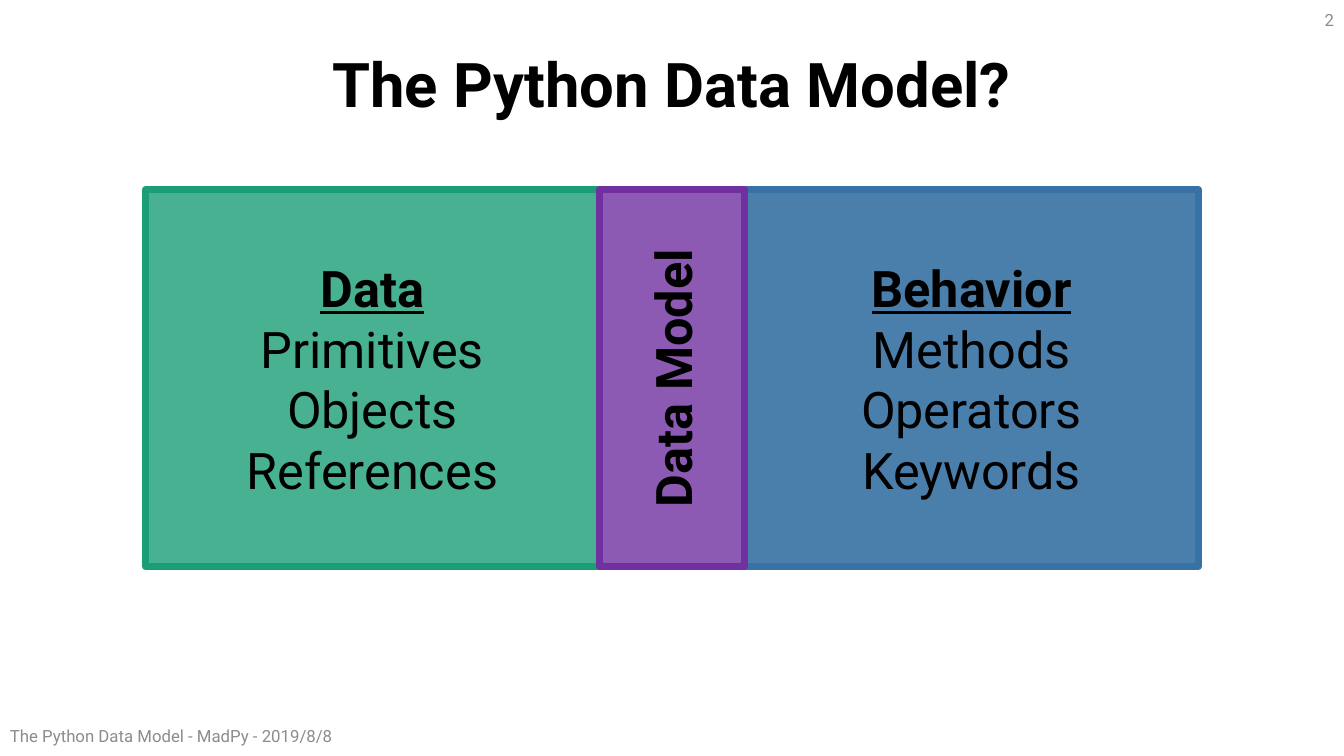
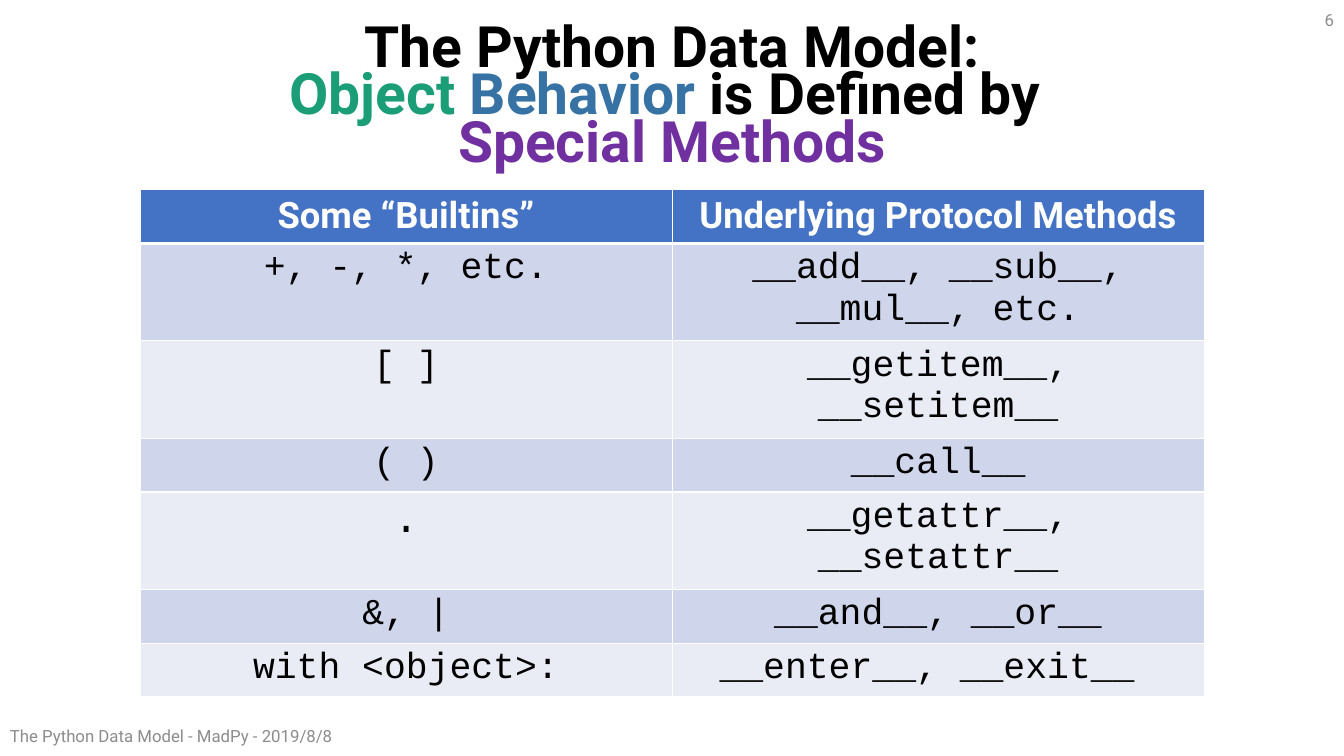
"""Build two slides about the Python data model."""
import lxml.etree
import pptx
import pptx.dml.color
import pptx.enum.shapes
import pptx.enum.text
import pptx.oxml.ns
import pptx.util

Cm = pptx.util.Cm
Pt = pptx.util.Pt
RGBColor = pptx.dml.color.RGBColor
ALIGN = pptx.enum.text.PP_ALIGN
MIDDLE = pptx.enum.text.MSO_ANCHOR.MIDDLE
TOP = pptx.enum.text.MSO_ANCHOR.TOP
qn = pptx.oxml.ns.qn

BLACK = RGBColor(0x00, 0x00, 0x00)
WHITE = RGBColor(0xFF, 0xFF, 0xFF)
GREY = RGBColor(0x8C, 0x8C, 0x8C)
GREEN = RGBColor(0x1B, 0x9E, 0x77)
BLUE = RGBColor(0x37, 0x72, 0xA4)
PURPLE = RGBColor(0x70, 0x30, 0xA0)
HEADER_BLUE = RGBColor(0x44, 0x72, 0xC4)
BAND_DARK = RGBColor(0xCF, 0xD5, 0xEA)
BAND_LIGHT = RGBColor(0xE9, 0xEB, 0xF5)

SLIDE_WIDTH, SLIDE_HEIGHT = 33.87, 19.05
CONTENT_TOP = 4.78
FOOTER = "The Python Data Model - MadPy - 2019/8/8"


def write(frame, lines, align=ALIGN.CENTER, anchor=MIDDLE, spacing=None, **style):
    """Fill a text frame with lines, each a string or a list of (text, overrides) runs."""
    frame.word_wrap = True
    frame.vertical_anchor = anchor
    for index, line in enumerate(lines):
        paragraph = frame.paragraphs[0] if index == 0 else frame.add_paragraph()
        paragraph.alignment = align
        if spacing:
            paragraph.line_spacing = spacing
        for text, overrides in [(line, {})] if isinstance(line, str) else line:
            look = {"size": 36, "font": "Roboto", "color": BLACK, "bold": False,
                    "underline": False, **style, **overrides}
            run = paragraph.add_run()
            run.text = text
            run.font.name = look["font"]
            run.font.size = Pt(look["size"])
            run.font.bold = look["bold"]
            run.font.underline = look["underline"]
            run.font.color.rgb = look["color"]


class Deck:
    """Hold the presentation, its shared style and the current slide."""

    def __init__(self):
        """Start an empty widescreen presentation."""
        self.presentation = pptx.Presentation()
        self.presentation.slide_width = Cm(SLIDE_WIDTH)
        self.presentation.slide_height = Cm(SLIDE_HEIGHT)
        self.slide = None

    def start_slide(self, number):
        """Add a title-only slide with its footer and number."""
        self.slide = self.presentation.slides.add_slide(self.presentation.slide_layouts[5])
        self.label(FOOTER, 0, 18.03, 11.43, ALIGN.LEFT)
        self.label(number, 32.74, 0, 1.13, ALIGN.RIGHT)

    def label(self, text, left, top, width, align):
        """Add a small grey line of text."""
        box = self.slide.shapes.add_textbox(Cm(left), Cm(top), Cm(width), Cm(1.02))
        write(box.text_frame, [text], align=align, size=12, color=GREY)

    def title(self, lines, top, width, height, size, spacing):
        """Place the title, centred across the slide."""
        title = self.slide.shapes.title
        title.left, title.top = Cm((SLIDE_WIDTH - width) / 2), Cm(top)
        title.width, title.height = Cm(width), Cm(height)
        title.text_frame.auto_size = pptx.enum.text.MSO_AUTO_SIZE.NONE
        write(title.text_frame, lines, size=size, bold=True, spacing=spacing)

    def panel(self, lines, left, width, color, opacity, upright=False):
        """Add a translucent panel with an opaque outline."""
        panel = self.slide.shapes.add_shape(
            pptx.enum.shapes.MSO_SHAPE.RECTANGLE,
            Cm(left), Cm(CONTENT_TOP), Cm(width), Cm(9.5))
        panel.shadow.inherit = False
        panel.fill.solid()
        panel.fill.fore_color.rgb = color
        fill_color = panel.element.spPr.find(qn("a:solidFill"))[0]
        lxml.etree.SubElement(fill_color, qn("a:alpha"), val=str(opacity * 1000))
        panel.line.color.rgb = color
        panel.line.width = Pt(5)
        if upright:
            panel.element.txBody.bodyPr.set("vert", "vert270")
        write(panel.text_frame, lines)

    def table(self, rows, heights, left, column_width):
        """Add a banded table with a header row."""
        table = self.slide.shapes.add_table(
            len(rows), len(rows[0]), Cm(left), Cm(CONTENT_TOP),
            Cm(column_width * len(rows[0])), Cm(sum(heights))).table
        table.horz_banding = False
        for column in table.columns:
            column.width = Cm(column_width)
        for index, (texts, height) in enumerate(zip(rows, heights)):
            table.rows[index].height = Cm(height)
            for column, text in enumerate(texts):
                self.cell(table.cell(index, column), text, index)

    def cell(self, cell, text, row):
        """Format one table cell according to its row."""
        header = row == 0
        widths = {"L": 1, "R": 1, "T": 3 if row == 1 else 1, "B": 3 if header else 1}
        properties = cell._tc.get_or_add_tcPr()
        for side, width in widths.items():
            border = lxml.etree.SubElement(properties, qn(f"a:ln{side}"), w=str(Pt(width)))
            fill = lxml.etree.SubElement(border, qn("a:solidFill"))
            lxml.etree.SubElement(fill, qn("a:srgbClr"), val=str(WHITE))
        cell.fill.solid()
        cell.fill.fore_color.rgb = (
            HEADER_BLUE if header else BAND_DARK if row % 2 else BAND_LIGHT)
        write(cell.text_frame, [text], anchor=None, size=26, bold=header,
              font="Roboto" if header else "Courier New",
              color=WHITE if header else BLACK)
        cell.vertical_anchor = TOP


def build_overview(deck):
    """Build the slide with the data model between data and behavior."""
    side_width, model_width = 11.43, 3.67
    data_left = (SLIDE_WIDTH - 2 * side_width - model_width) / 2
    model_left = data_left + side_width
    heading = {"bold": True, "underline": True}
    deck.start_slide("2")
    deck.title(["The Python Data Model?"], 1.02, 17.96, 2.39, 44, 0.9)
    deck.panel([[("Behavior", heading)], "Methods", "Operators", "Keywords"],
               model_left + model_width, side_width, BLUE, 90)
    deck.panel([[("Data", heading)], "Primitives", "Objects", "References"],
               data_left, side_width, GREEN, 80)
    deck.panel([[("Data Model", {"bold": True})]],
               model_left, model_width, PURPLE, 80, upright=True)


def build_methods(deck):
    """Build the slide with the table of special methods."""
    single, double = 1.3, 2.35
    deck.start_slide("6")
    deck.title([
        "The Python Data Model:",
        [("Object", {"color": GREEN}), (" Behavior", {"color": BLUE}),
         (" is Defined by ", {})],
        [("Special Methods", {"color": PURPLE})],
    ], 0.48, 26.82, 4.11, 40.7, 0.7)
    deck.table([
        ("Some “Builtins”", "Underlying Protocol Methods"),
        ("+, -, *, etc.", "__add__, __sub__, __mul__, etc."),
        ("[ ]", "__getitem__, __setitem__"),
        ("( )", "__call__"),
        ([(".", {"size": 30})], "__getattr__, __setattr__"),
        ("&, |", "__and__, __or__"),
        ("with <object>:", "__enter__, __exit__ "),
    ], [single, double, double, single, double, single, single], 3.53, 13.41)


def main():
    """Build and save the slides."""
    deck = Deck()
    build_overview(deck)
    build_methods(deck)
    deck.presentation.save("out.pptx")


if __name__ == "__main__":
    main()
